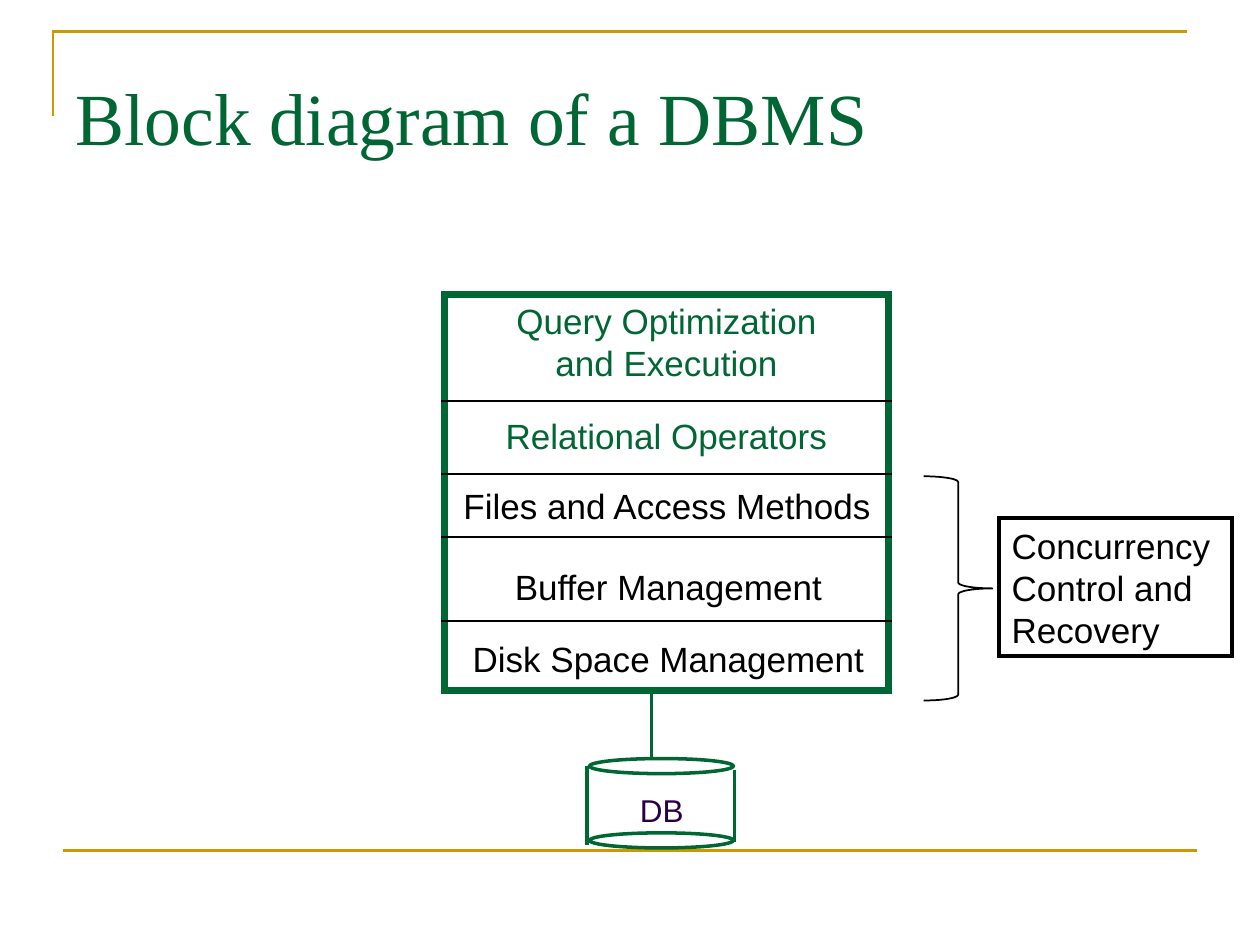
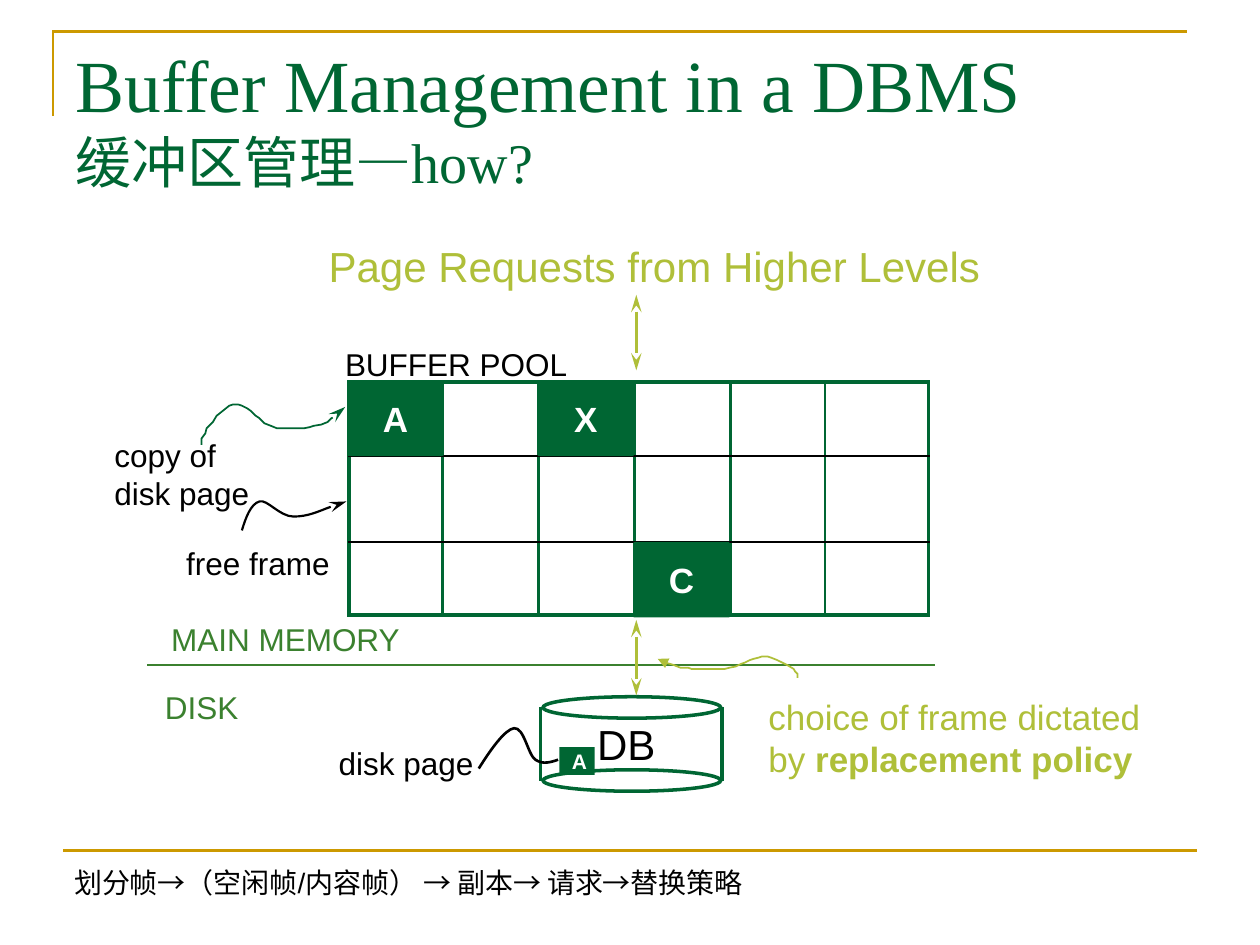
from lxml import etree
from pptx import Presentation
from pptx.dml.color import RGBColor
from pptx.enum.shapes import MSO_CONNECTOR, MSO_SHAPE
from pptx.enum.text import MSO_ANCHOR, PP_ALIGN
from pptx.oxml.ns import qn
from pptx.util import Inches, Pt

STRAIGHT = MSO_CONNECTOR.STRAIGHT
RECTANGLE = MSO_SHAPE.RECTANGLE
ELLIPSE = MSO_SHAPE.OVAL
RIGHT_BRACE = MSO_SHAPE.RIGHT_BRACE
LEFT, CENTER = PP_ALIGN.LEFT, PP_ALIGN.CENTER
TOP, MIDDLE = MSO_ANCHOR.TOP, MSO_ANCHOR.MIDDLE

BODY_FONT, TITLE_FONT = "Arial", "Times New Roman"
COLORS = {
    "green": "006633",
    "leaf": "3B812F",
    "lime": "AFBF39",
    "gold": "CC9900",
    "purple": "280049",
    "black": "000000",
    "white": "FFFFFF",
}


def rgb(name):
    return RGBColor.from_string(COLORS[name])


def set_line(shape, color, width, **ends):
    """Style a line with sharp corners; ends are headEnd, then tailEnd kinds."""
    shape.line.color.rgb = rgb(color)
    shape.line.width = Pt(width)
    properties = shape._element.spPr.find(qn("a:ln"))
    etree.SubElement(properties, qn("a:miter"), lim="800000")
    for end, kind in ends.items():
        length = "lg" if kind == "stealth" else "med"
        etree.SubElement(properties, qn(f"a:{end}"), type=kind, w="med", len=length)


def format_span(span, size, color, font=BODY_FONT, bold=False):
    span.font.name = font
    span.font.size = Pt(size)
    span.font.bold = bold
    span.font.color.rgb = rgb(color)


def write_text(shape, text, size, color, align=LEFT, anchor=TOP,
               font=BODY_FONT, bold=False, wrap=False):
    frame = shape.text_frame
    frame.text = text
    frame.word_wrap = wrap
    frame.vertical_anchor = anchor
    for para in frame.paragraphs:
        para.alignment = align
        for span in para.runs:
            format_span(span, size, color, font, bold)
    return frame


def add_text(page, place, text, size, color, **style):
    box = page.shapes.add_textbox(*map(Inches, place))
    return write_text(box, text, size, color, **style)


def add_outline(page, kind, place, color, width):
    shape = page.shapes.add_shape(kind, *map(Inches, place))
    shape.shadow.inherit = False
    shape.fill.background()
    set_line(shape, color, width)
    return shape


def add_filled_frame(page, place, text, size, align=CENTER):
    shape = page.shapes.add_shape(RECTANGLE, *map(Inches, place))
    shape.shadow.inherit = False
    shape.fill.solid()
    shape.fill.fore_color.rgb = rgb("green")
    shape.line.fill.background()
    write_text(shape, text, size, "white", align=align, anchor=MIDDLE, bold=True)


def add_line(page, start, end, color, width, **ends):
    connector = page.shapes.add_connector(STRAIGHT, *map(Inches, start + end))
    set_line(connector, color, width, **ends)
    etree.SubElement(connector._element.spPr, qn("a:effectLst"))


def add_polyline(page, points, color, width, **ends):
    points = [(Inches(x), Inches(y)) for x, y in points]
    builder = page.shapes.build_freeform(*points[0])
    builder.add_line_segments(points[1:], close=False)
    shape = builder.convert_to_shape()
    shape.shadow.inherit = False
    shape.fill.background()
    set_line(shape, color, width, **ends)
    return shape


def add_curve(page, points, color, width, **ends):
    """Draw Bezier segments: a start, then two controls and an end for each."""
    shape = add_polyline(page, points, color, width, **ends)
    segments = list(shape._element.iter(qn("a:lnTo")))
    for first in range(0, len(segments), 3):
        triple = segments[first:first + 3]
        cubic = etree.Element(qn("a:cubicBezTo"))
        triple[0].addprevious(cubic)
        for segment in triple:
            cubic.append(segment[0])
            segment.getparent().remove(segment)


def add_disk(page, left, top, width, height, cap, sides):
    """Draw a cylinder; sides are the top and bottom of its left and right line."""
    for cap_top in (top, top + height - cap):
        add_outline(page, ELLIPSE, (left, cap_top, width, cap), "green", 2)
    for x, (start, end) in zip((left - 0.02, left + width + 0.01), sides):
        add_line(page, (x, start), (x, end), "green", 2)


def add_page(deck, title):
    page = deck.slides.add_slide(deck.slide_layouts[6])
    add_polyline(page, [(0.42, 0.92), (0.42, 0.25), (9.42, 0.25)], "gold", 1.5)
    add_line(page, (0.5, 6.75), (9.5, 6.75), "gold", 1.5)
    frame = add_text(page, (0.5, 0.3, 9, 1.25), title, 42, "green",
                     font=TITLE_FONT, anchor=MIDDLE, wrap=True)
    for subtitle in frame.paragraphs[0].runs[1:]:
        subtitle.font.size = Pt(32)
    return page


def build_block_diagram(deck):
    page = add_page(deck, "Block diagram of a DBMS")
    layers = [
        ((4, 2.33, 2.58, 0.77), "Query Optimization\nand Execution", "green"),
        ((3.91, 3.24, 2.76, 0.43), "Relational Operators", "green"),
        ((3.57, 3.8, 3.45, 0.43), "Files and Access Methods", "black"),
        ((3.98, 4.44, 2.65, 0.43), "Buffer Management", "black"),
        ((3.65, 5.01, 3.31, 0.43), "Disk Space Management", "black"),
    ]
    for place, text, color in layers:
        add_text(page, place, text, 20, color, align=CENTER)
    add_outline(page, RECTANGLE, (3.53, 2.34, 3.52, 3.14), "green", 4)
    for y in (3.18, 3.76, 4.26, 4.93):
        add_line(page, (3.5, y), (7.08, y), "black", 1)

    add_disk(page, 4.68, 6.02, 1.14, 0.71, 0.12, [(6.08, 6.71), (6.11, 6.68)])
    add_text(page, (4.98, 6.23, 0.55, 0.4), "DB", 18, "purple")
    add_line(page, (5.17, 5.51), (5.17, 6.01), "green", 2)

    add_outline(page, RIGHT_BRACE, (7.33, 3.78, 0.55, 1.78), "black", 1)
    recovery = add_outline(page, RECTANGLE, (7.93, 4.11, 1.85, 1.1), "black", 2.25)
    write_text(recovery, "Concurrency\nControl and\nRecovery", 20, "black")


def add_buffer_pool(page):
    left, top = 2.76, 3.02
    row_lines = (3.62, 4.3)
    add_outline(page, RECTANGLE, (2.77, 3.03, 4.6, 1.85), "green", 2)
    for column in range(5):
        place = (left + column * 0.76, top, 0.75, 1.87)
        add_outline(page, RECTANGLE, place, "green", 1)
    for y in row_lines:
        add_line(page, (left, y), (7.38, y), "black", 1)
    for text, x, y in (("A", left, top), ("X", 4.27, top), ("C", 5.03, row_lines[1])):
        add_filled_frame(page, (x, y, 0.76, 0.6), text, 20)


def add_pointers(page):
    copy_pointer = [
        (1.6, 3.53), (1.6, 3.48), (1.63, 3.44), (1.64, 3.4), (1.69, 3.35),
        (1.72, 3.3), (1.77, 3.26), (1.82, 3.22), (1.85, 3.21), (1.89, 3.21),
        (1.92, 3.22), (1.96, 3.24), (1.99, 3.26), (2.03, 3.3), (2.06, 3.32),
        (2.1, 3.36), (2.15, 3.38), (2.2, 3.4), (2.23, 3.4), (2.28, 3.4),
        (2.31, 3.4), (2.36, 3.4), (2.41, 3.4), (2.46, 3.39), (2.49, 3.38),
        (2.55, 3.37), (2.6, 3.35), (2.63, 3.32), (2.67, 3.3), (2.7, 3.28),
        (2.74, 3.23)]
    policy_pointer = [
        (6.33, 5.38), (6.33, 5.35), (6.31, 5.33), (6.3, 5.31), (6.25, 5.28),
        (6.21, 5.26), (6.17, 5.24), (6.12, 5.22), (6.09, 5.21), (6.05, 5.21),
        (6.02, 5.22), (5.98, 5.23), (5.95, 5.24), (5.91, 5.26), (5.88, 5.27),
        (5.84, 5.29), (5.79, 5.3), (5.75, 5.31), (5.71, 5.31), (5.67, 5.31),
        (5.63, 5.31), (5.59, 5.31), (5.54, 5.31), (5.49, 5.31), (5.46, 5.3),
        (5.4, 5.3), (5.35, 5.28), (5.32, 5.27), (5.28, 5.26), (5.25, 5.25),
        (5.22, 5.23)]
    free_pointer = [
        (1.92, 4.21), (1.95, 4.11), (1.99, 4), (2.06, 3.98), (2.12, 3.96),
        (2.22, 4.1), (2.33, 4.1), (2.45, 4.1), (2.67, 4), (2.75, 3.98)]
    disk_pointer = [
        (3.8, 6.1), (3.9, 5.94), (4.01, 5.79), (4.08, 5.78), (4.16, 5.77),
        (4.19, 5.99), (4.25, 6.03), (4.31, 6.07), (4.37, 6.05), (4.43, 6.03)]
    add_polyline(page, copy_pointer, "green", 1, tailEnd="stealth")
    add_polyline(page, policy_pointer, "lime", 1, tailEnd="triangle")
    add_curve(page, free_pointer, "black", 1.25, tailEnd="stealth")
    add_curve(page, disk_pointer, "black", 1.5)


def build_buffer_management(deck):
    page = add_page(deck, "Buffer Management in a DBMS\v缓冲区管理—how?")
    add_buffer_pool(page)
    add_disk(page, 4.31, 5.53, 1.41, 0.75, 0.17, [(5.61, 6.2)] * 2)
    add_text(page, (4.64, 5.65, 0.7, 0.5), "DB", 24, "black", wrap=True)
    add_line(page, (1.17, 5.28), (7.42, 5.28), "leaf", 1)

    labels = [
        ((1.26, 4.87, 2.02, 0.4), "MAIN MEMORY", 18, "leaf"),
        ((1.21, 5.41, 0.79, 0.4), "DISK", 18, "leaf"),
        ((0.81, 3.41, 1.27, 0.7), "copy of\vdisk page", 18, "black"),
        ((1.38, 4.27, 1.34, 0.4), "free frame", 18, "black"),
        ((2.51, 1.86, 5.37, 0.5), "Page Requests from Higher Levels", 24, "lime"),
        ((2.64, 2.69, 1.97, 0.4), "BUFFER POOL", 18, "black"),
        ((2.59, 5.86, 1.27, 0.4), "disk page", 18, "black"),
    ]
    for place, text, size, color in labels:
        add_text(page, place, text, size, color)

    for y in (2.34, 4.92):
        add_line(page, (5.05, y), (5.05, y + 0.6), "lime", 2,
                 headEnd="stealth", tailEnd="stealth")

    policy = add_text(page, (6, 5.47, 3.16, 0.77),
                      "choice of frame dictated\nby ", 20, "lime")
    emphasis = policy.paragraphs[1].add_run()
    emphasis.text = "replacement policy"
    format_span(emphasis, 20, "lime", bold=True)

    add_filled_frame(page, (4.44, 5.93, 0.28, 0.22), "A", 12, align=LEFT)
    add_pointers(page)
    add_text(page, (0.49, 6.82, 9.05, 0.37),
             "划分帧→（空闲帧/内容帧） → 副本→ 请求→替换策略", 16, "black", wrap=True)


def main():
    deck = Presentation()
    deck.slide_width, deck.slide_height = Inches(10), Inches(7.5)
    build_block_diagram(deck)
    build_buffer_management(deck)
    deck.save("out.pptx")


if __name__ == "__main__":
    main()
